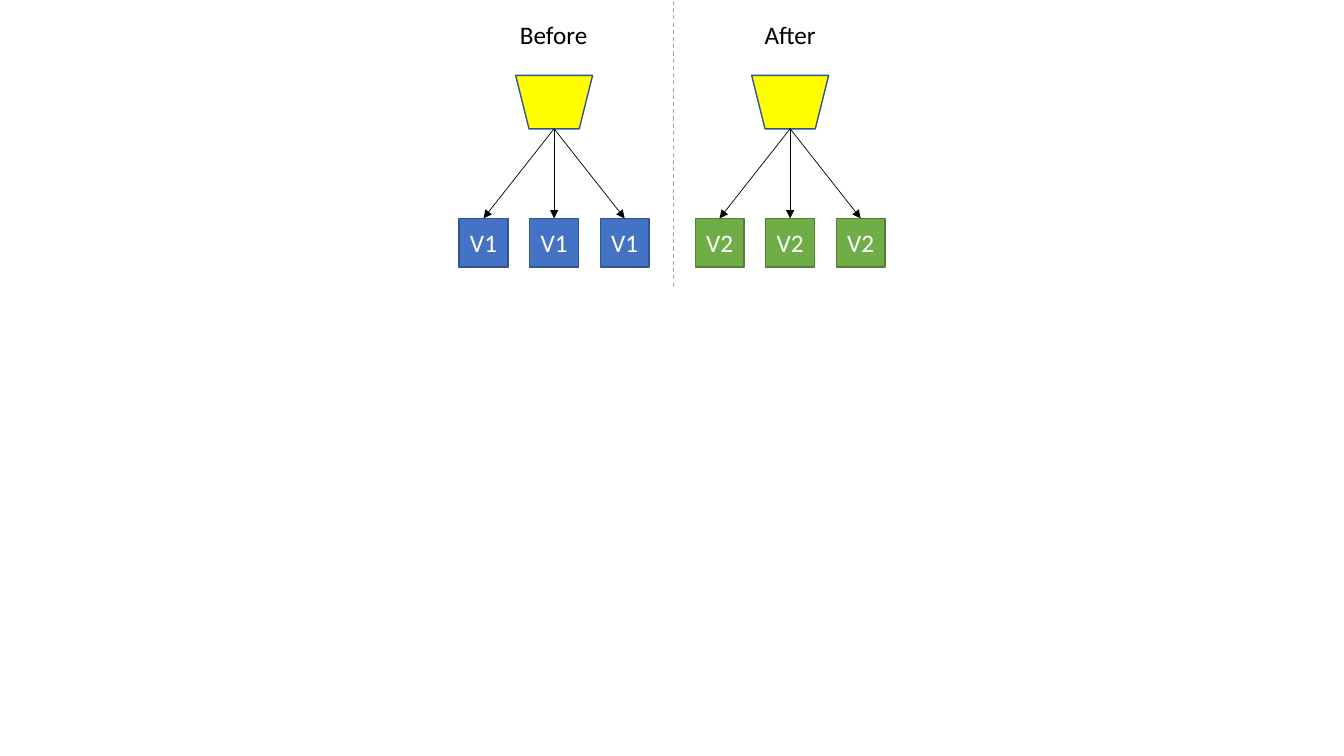
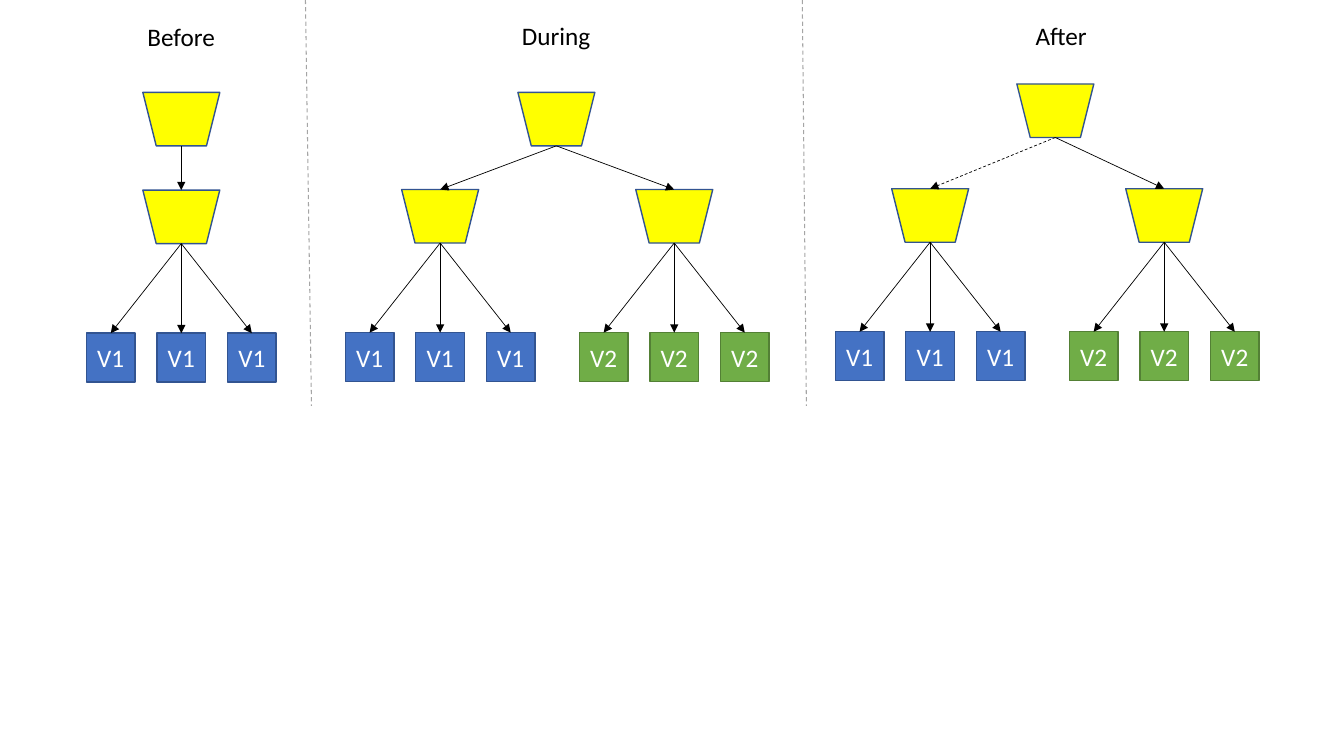
import pptx
import pptx.dml.color
import pptx.enum.dml
import pptx.enum.shapes
import pptx.enum.text
import pptx.oxml.ns
import pptx.util
from lxml import etree

Pt = pptx.util.Pt
SHAPE = pptx.enum.shapes.MSO_SHAPE
FONT, FONT_SIZE = "Calibri", 18
BLACK, WHITE, GREY = "000000", "FFFFFF", "A5A5A5"
YELLOW, NAVY = "FFFF00", "325491"
VERSIONS = {"V1": ("4472C4", NAVY), "V2": ("70AD47", "538035")}
BOX, PITCH = 34.8, 50.4
ROUTER_W, ROUTER_H = 55, 38.2
BOX_DROP = 102.2  # from the top of a router to the top of its boxes


def rgb(color):
    """Turn a hex string into a colour."""
    return pptx.dml.color.RGBColor.from_string(color)


def write(sp, text, color):
    """Put one centred line of text in a shape."""
    p = sp.text_frame.paragraphs[0]
    p.text = text
    p.alignment = pptx.enum.text.PP_ALIGN.CENTER
    p.font.name, p.font.size = FONT, Pt(FONT_SIZE)
    p.font.color.rgb = rgb(color)


def add_label(slide, text, cx, top, width):
    """Add a stage name centred on cx."""
    sp = slide.shapes.add_textbox(Pt(cx - width / 2), Pt(top), Pt(width), Pt(29))
    sp.text_frame.word_wrap = False
    sp.text_frame.auto_size = pptx.enum.text.MSO_AUTO_SIZE.SHAPE_TO_FIT_TEXT
    write(sp, text, BLACK)


def add_block(slide, kind, cx, top, width, height, fill, outline):
    """Add a filled, outlined shape centred on cx."""
    sp = slide.shapes.add_shape(kind, Pt(cx - width / 2), Pt(top), Pt(width), Pt(height))
    sp.shadow.inherit = False
    sp.fill.solid()
    sp.fill.fore_color.rgb = rgb(fill)
    sp.line.color.rgb = rgb(outline)
    sp.line.width = Pt(1)
    return sp


def add_line(slide, start, end, color=BLACK, width=0.5, dashed=False, arrow=True):
    """Add a straight line, with an arrowhead at its end if asked."""
    line = slide.shapes.add_connector(
        pptx.enum.shapes.MSO_CONNECTOR.STRAIGHT, *map(Pt, start + end))
    line.line.color.rgb = rgb(color)
    line.line.width = Pt(width)
    if dashed:
        line.line.dash_style = pptx.enum.dml.MSO_LINE.DASH
    if arrow:
        ln = line.line._get_or_add_ln()
        etree.SubElement(ln, pptx.oxml.ns.qn("a:tailEnd"), type="triangle")
    etree.SubElement(line._element.spPr, pptx.oxml.ns.qn("a:effectLst"))


def add_divider(slide, start, end):
    """Add a dashed grey line between stages."""
    add_line(slide, start, end, GREY, 0.75, dashed=True, arrow=False)


def add_router(slide, cx, top):
    """Add a router and return the point where its arrows start."""
    sp = add_block(slide, SHAPE.TRAPEZOID, cx, top, ROUTER_W, ROUTER_H, YELLOW, NAVY)
    sp.rotation = 180
    return cx, top + ROUTER_H


def add_cluster(slide, cx, top, version):
    """Add a router with arrows to three boxes of one version."""
    outlet = add_router(slide, cx, top)
    box_top = top + BOX_DROP
    for i in (-1, 0, 1):
        x = cx + i * PITCH
        sp = add_block(slide, SHAPE.RECTANGLE, x, box_top, BOX, BOX, *VERSIONS[version])
        tf = sp.text_frame
        tf.vertical_anchor = pptx.enum.text.MSO_ANCHOR.MIDDLE
        tf.margin_left = tf.margin_right = 0
        write(sp, version, WHITE)
        add_line(slide, outlet, (x, box_top))


def add_routed_stage(slide, cx, top, cluster_top, clusters):
    """Add a front router that feeds clusters of (centre, version, dashed)."""
    outlet = add_router(slide, cx, top)
    for cluster_cx, version, dashed in clusters:
        add_cluster(slide, cluster_cx, cluster_top, version)
        add_line(slide, outlet, (cluster_cx, cluster_top), dashed=dashed)


def build_direct_switch(slide):
    """Draw the change of version behind a single router."""
    add_label(slide, "Before", 395.4, 10.2, 63)
    add_cluster(slide, 395.8, 53.8, "V1")
    add_label(slide, "After", 564.4, 10.2, 52)
    add_cluster(slide, 564.4, 53.8, "V2")
    add_divider(slide, (481, 0.6), (481, 205.6))


def build_routed_switch(slide):
    """Draw the change of version with a second router in front."""
    add_label(slide, "Before", 129.4, 11.6, 63)
    add_routed_stage(slide, 129.5, 66, 135.8, [(129.5, "V1", False)])
    add_label(slide, "During", 397.2, 10.8, 64)
    add_routed_stage(slide, 397.4, 66, 135.4,
                     [(314.4, "V1", False), (481.6, "V2", False)])
    add_label(slide, "After", 758, 10.8, 52)
    add_routed_stage(slide, 753.8, 60, 134.8,
                     [(664.4, "V1", True), (831.6, "V2", False)])
    add_divider(slide, (218.2, 0), (222.5, 290))
    add_divider(slide, (573.1, 0), (576, 290))


def main():
    """Build and save the presentation."""
    prs = pptx.Presentation()
    prs.slide_width, prs.slide_height = Pt(960), Pt(540)
    for build in (build_direct_switch, build_routed_switch):
        build(prs.slides.add_slide(prs.slide_layouts[6]))
    prs.save("out.pptx")


main()
